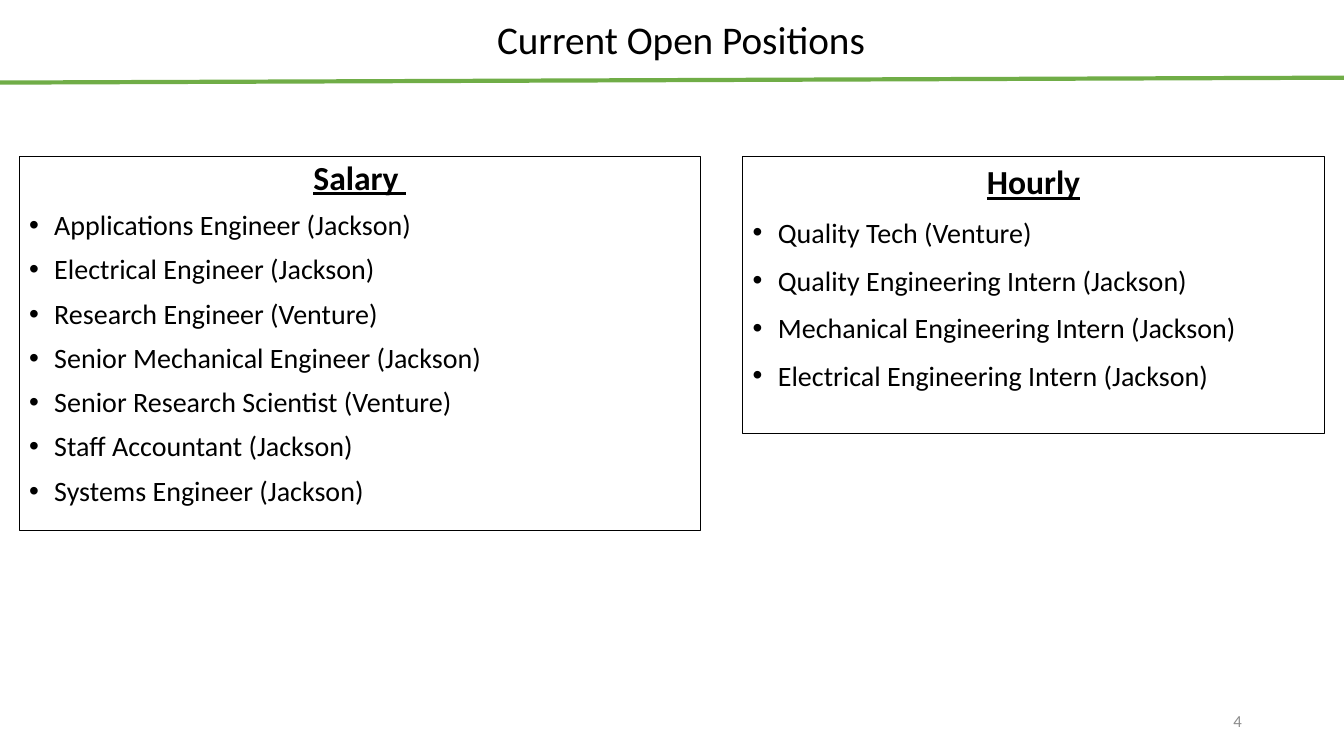
"""Build the Current Open Positions slide."""
from lxml.etree import SubElement
from pptx import Presentation
from pptx.dml.color import RGBColor
from pptx.enum.shapes import MSO_CONNECTOR, MSO_SHAPE
from pptx.enum.text import MSO_ANCHOR as ANCHOR, PP_ALIGN as ALIGN
from pptx.oxml.ns import qn
from pptx.util import Pt


def rgb(value):
    return RGBColor.from_string(value)


def write(p, text, color="000000", **fmt):
    r = p.add_run()
    r.text = text
    r.font.color.rgb = rgb(color)
    for name, value in {"name": "Calibri", **fmt}.items():
        setattr(r.font, name, value)


prs = Presentation()
prs.slide_width, prs.slide_height = Pt(960), Pt(540)
s = prs.slides.add_slide(prs.slide_layouts[6])

rule = s.shapes.add_connector(MSO_CONNECTOR.STRAIGHT, Pt(0), Pt(59), Pt(960), Pt(55.5))
rule.line.color.rgb = rgb("70AD47")
rule.line.width = Pt(3)
SubElement(rule._element.spPr, qn("a:effectLst"))

labels = [
    ((57.6, -5.8, 864, 72), "Current Open Positions ", ALIGN.CENTER, 0.9, 28, "000000"),
    ((678.2, 500.4, 216, 28.8), "4", ALIGN.RIGHT, 1.0, 12, "8C8C8C"),
]
for box, text, align, spacing, size, color in labels:
    tf = s.shapes.add_textbox(*map(Pt, box)).text_frame
    tf.word_wrap = True
    tf.vertical_anchor = ANCHOR.MIDDLE
    p = tf.paragraphs[0]
    p.alignment, p.line_spacing = align, spacing
    write(p, text, color, size=Pt(size))

panels = [
    ((13.7, 111.6, 486.7, 267.1), 0.9, "Salary ", [
        "Applications Engineer (Jackson)",
        "Electrical Engineer (Jackson)",
        "Research Engineer (Venture)",
        "Senior Mechanical Engineer (Jackson)",
        "Senior Research Scientist (Venture)",
        "Staff Accountant (Jackson)",
        "Systems Engineer (Jackson)",
    ]),
    ((530.6, 111.6, 415.4, 198), 1.0, "Hourly", [
        "Quality Tech (Venture)",
        "Quality Engineering Intern (Jackson)",
        "Mechanical Engineering Intern (Jackson)",
        "Electrical Engineering Intern (Jackson)",
    ]),
]
for box, spacing, heading, positions in panels:
    sp = s.shapes.add_shape(MSO_SHAPE.RECTANGLE, *map(Pt, box))
    sp.shadow.inherit = False
    sp.fill.background()
    sp.line.color.rgb = rgb("000000")
    sp.line.width = Pt(0.75)
    tf = sp.text_frame
    tf.word_wrap = True
    tf.vertical_anchor = ANCHOR.TOP
    p = tf.paragraphs[0]
    p.alignment, p.line_spacing = ALIGN.CENTER, spacing
    write(p, heading, size=Pt(24), bold=True, underline=True)
    for position in positions:
        p = tf.add_paragraph()
        p.alignment, p.line_spacing, p.space_before = ALIGN.LEFT, spacing, Pt(10)
        pPr = p._p.get_or_add_pPr()
        pPr.set("marL", str(Pt(18)))
        pPr.set("indent", str(Pt(-18)))
        SubElement(pPr, qn("a:buFont"), typeface="Arial")
        SubElement(pPr, qn("a:buChar"), char="•")
        write(p, position, size=Pt(20))

prs.save("out.pptx")
